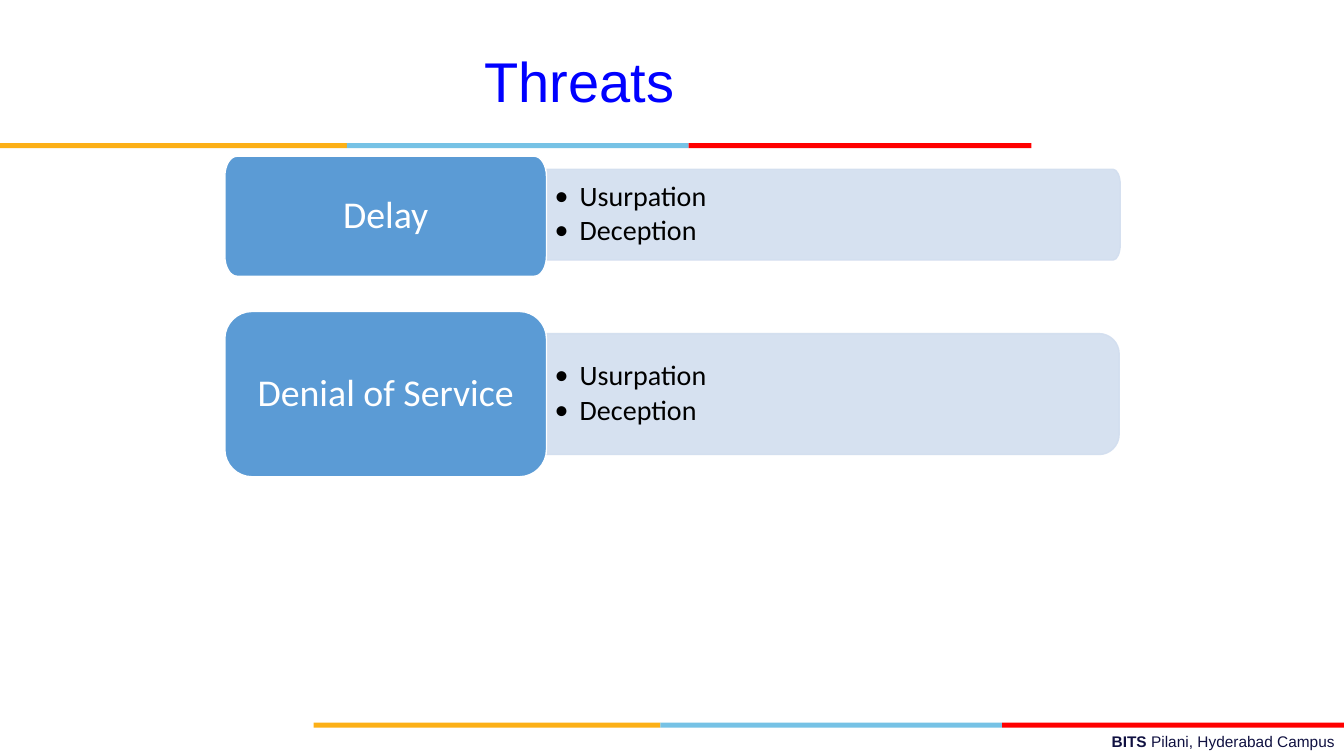
from dataclasses import dataclass

from lxml import etree
from pptx import Presentation
from pptx import util as u
from pptx.dml.color import RGBColor
from pptx.enum import shapes, text
from pptx.oxml.ns import qn

SLIDE_W, SLIDE_H = 13.33, 7.5


@dataclass(frozen=True)
class Theme:
    stripes: tuple = ("FCB017", "76C2E5", "FF0000")
    title: str = "0000FF"
    campus: str = "101141"
    label: str = "5B9BD5"
    panel: str = "D2DEEF"
    light: str = "FFFFFF"
    dark: str = "000000"
    heading_font: str = "Arial"
    body_font: str = "Calibri"
    title_size: int = 40
    label_size: int = 27
    bullet_size: int = 20
    campus_size: int = 11


THEME = Theme()


def style_font(font, name, size, color):
    font.name, font.size = name, u.Pt(size)
    font.color.rgb = RGBColor.from_string(color)


def set_frame(frame, margins, anchor=text.MSO_ANCHOR.MIDDLE):
    """Margins run left, top, right, bottom, in inches."""
    frame.word_wrap = True
    frame.auto_size = text.MSO_AUTO_SIZE.NONE
    frame.vertical_anchor = anchor
    (frame.margin_left, frame.margin_top,
     frame.margin_right, frame.margin_bottom) = map(u.Inches, margins)


def add_stripe(slide, left, top):
    for color, width in zip(THEME.stripes, (3.44, 3.39, 3.4)):
        band = slide.shapes.add_shape(
            shapes.MSO_SHAPE.RECTANGLE, *map(u.Inches, (left, top, width, 0.05)))
        band.shadow.inherit = False
        band.fill.solid()
        band.fill.fore_color.rgb = RGBColor.from_string(color)
        band.line.fill.background()
        left += width


def add_title(slide, words, box):
    title = slide.shapes.title
    title.left, title.top, title.width, title.height = map(u.Inches, box)
    set_frame(title.text_frame, (1.1, 0.05, 0.1, 0.05))
    title.text_frame.text = words
    heading = title.text_frame.paragraphs[0]
    heading.alignment = text.PP_ALIGN.CENTER
    style_font(heading.font, THEME.heading_font, THEME.title_size, THEME.title)


def add_campus(slide, box):
    campus = slide.shapes.add_textbox(*map(u.Inches, box)).text_frame
    set_frame(campus, (0.1, 0.05, 0.1, 0.05), text.MSO_ANCHOR.TOP)
    line = campus.paragraphs[0]
    line.alignment = text.PP_ALIGN.RIGHT
    style_font(line.font, THEME.heading_font, THEME.campus_size, THEME.campus)
    university = line.add_run()
    university.text = "BITS "
    university.font.bold = True
    line.add_run().text = "Pilani, Hyderabad Campus"


def bend_corners(block, corner_count):
    """Turn the three lines that follow each corner's first point into a curve."""
    outline = next(block._element.iter(qn("a:path")))
    steps = list(outline)
    for corner in range(corner_count):
        lines = steps[4 * corner + 1:4 * corner + 4]
        curve = etree.Element(qn("a:cubicBezTo"))
        lines[0].addprevious(curve)
        for line in lines:
            curve.append(line[0])
            outline.remove(line)


def add_rounded(slide, box, radii, color, line_color, round_left=True):
    """Block with elliptical corners; the left ones may stay square."""
    left, top, width, height = box
    rx, ry = radii
    right, bottom = left + width, top + height
    pull = 0.45  # distance of a curve handle from the corner, in radii
    corners = [(right, top, -rx, 0, 0, ry), (right, bottom, 0, -ry, -rx, 0)]
    if round_left:
        corners += [(left, bottom, rx, 0, 0, -ry), (left, top, 0, ry, rx, 0)]
    points = []
    for x, y, in_x, in_y, out_x, out_y in corners:
        points += [(x + in_x, y + in_y), (x + pull * in_x, y + pull * in_y),
                   (x + pull * out_x, y + pull * out_y), (x + out_x, y + out_y)]
    if not round_left:
        points += [(left, bottom), (left, top)]
    points = [(u.Inches(x), u.Inches(y)) for x, y in points]
    outline = slide.shapes.build_freeform(*points[0])
    outline.add_line_segments(points[1:], close=True)
    block = outline.convert_to_shape()
    bend_corners(block, len(corners))
    block.shadow.inherit = False
    block.fill.solid()
    block.fill.fore_color.rgb = RGBColor.from_string(color)
    block.line.color.rgb = RGBColor.from_string(line_color)
    block.line.width = u.Pt(1)
    return block


def make_translucent(block, percent):
    for color in block._element.spPr.iter(qn("a:srgbClr")):
        etree.SubElement(color, qn("a:alpha"), val=str(percent * 1000))


def add_bullet(paragraph):
    props = paragraph._p.get_or_add_pPr()
    props.set("marL", str(u.Inches(0.25)))
    props.set("indent", str(-u.Inches(0.25)))
    etree.SubElement(props, qn("a:buFont"), typeface=THEME.body_font)
    etree.SubElement(props, qn("a:buChar"), char="•")


def add_panel(slide, effects, box, radii, margins):
    panel = add_rounded(slide, box, radii, THEME.panel, THEME.panel,
                        round_left=False)
    make_translucent(panel, 90)
    set_frame(panel.text_frame, margins)
    panel.text_frame.text = "\n".join(effects)
    for effect in panel.text_frame.paragraphs:
        add_bullet(effect)
        effect.level = 1
        effect.alignment = text.PP_ALIGN.LEFT
        effect.line_spacing = 0.9
        effect.space_after = u.Pt(3)
        style_font(effect.font, THEME.body_font, THEME.bullet_size, THEME.dark)


def add_label(slide, name, box, radii, margins):
    label = add_rounded(slide, box, radii, THEME.label, THEME.light)
    set_frame(label.text_frame, margins)
    label.text_frame.text = name
    caption = label.text_frame.paragraphs[0]
    caption.alignment = text.PP_ALIGN.CENTER
    caption.line_spacing = 0.9
    style_font(caption.font, THEME.body_font, THEME.label_size, THEME.light)


def main():
    deck = Presentation()
    deck.slide_width, deck.slide_height = u.Inches(SLIDE_W), u.Inches(SLIDE_H)
    slide = deck.slides.add_slide(deck.slide_layouts[5])
    add_stripe(slide, 0, 1.42)
    add_stripe(slide, 3.11, 7.17)
    add_campus(slide, (4.78, 7.21, 8.56, 0.29))
    add_title(slide, "Threats", (2.33, 0.41, 5.83, 0.77))
    effects = ("Usurpation", "Deception")
    add_panel(slide, effects, (5.42, 1.68, 5.69, 0.9), (0.07, 0.15),
              (0.08, 0.06, 0.1, 0.06))
    add_label(slide, "Delay", (2.23, 1.55, 3.19, 1.19), (0.12, 0.2),
              (0.15, 0.09, 0.15, 0.09))
    add_panel(slide, effects, (5.42, 3.31, 5.68, 1.2), (0.2, 0.2),
              (0.08, 0.1, 0.14, 0.1))
    add_label(slide, "Denial of Service", (2.23, 3.09, 3.19, 1.64), (0.27, 0.27),
              (0.19, 0.14, 0.19, 0.14))
    deck.save("out.pptx")


if __name__ == "__main__":
    main()
